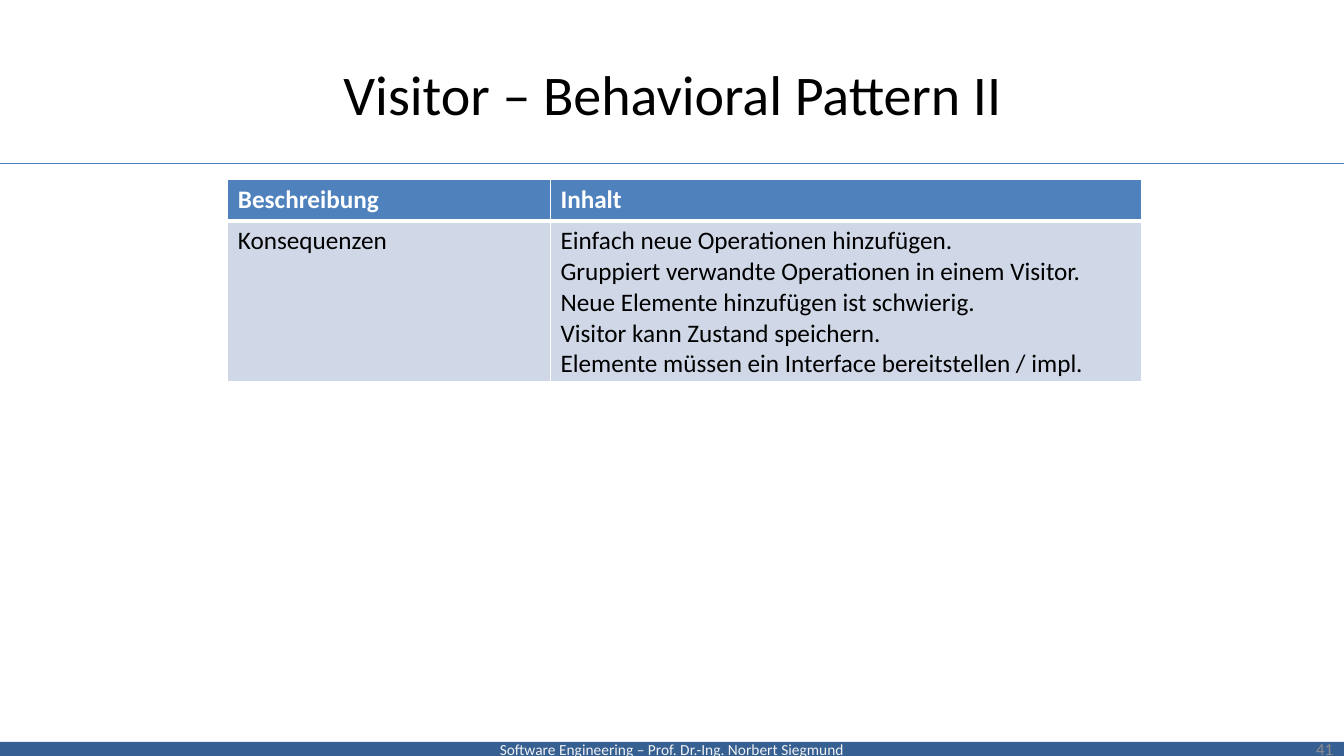
from lxml import etree
from pptx import Presentation
from pptx.dml.color import RGBColor
from pptx.enum.shapes import MSO_CONNECTOR, MSO_SHAPE
from pptx.enum.text import MSO_ANCHOR, PP_ALIGN
from pptx.oxml.ns import qn
from pptx.util import Pt

EMU_PER_PX = 9144
SLIDE_WIDTH, SLIDE_HEIGHT = 1333, 750
TITLE_ONLY = 5
STRAIGHT = MSO_CONNECTOR.STRAIGHT
RECTANGLE = MSO_SHAPE.RECTANGLE
MIDDLE = MSO_ANCHOR.MIDDLE
LEFT, CENTER, RIGHT = PP_ALIGN.LEFT, PP_ALIGN.CENTER, PP_ALIGN.RIGHT

HEADINGS = ["Beschreibung", "Inhalt"]
CONSEQUENCES = [
    "Einfach neue Operationen hinzufügen.",
    "Gruppiert verwandte Operationen in einem Visitor.",
    "Neue Elemente hinzufügen ist schwierig.",
    "Visitor kann Zustand speichern.",
    "Elemente müssen ein Interface bereitstellen / impl.",
]


def px(*lengths):
    return [length * EMU_PER_PX for length in lengths]


def color(hex_string):
    return RGBColor.from_string(hex_string)


def write(frame, lines, size, hex_color, align=LEFT, bold=False):
    frame.word_wrap = True
    for index, line in enumerate(lines):
        paragraph = frame.add_paragraph() if index else frame.paragraphs[0]
        paragraph.text = line
        paragraph.alignment = align
        paragraph.font.name = "Calibri"
        paragraph.font.size = Pt(size)
        paragraph.font.bold = bold
        paragraph.font.color.rgb = color(hex_color)


def add_footer(slide, left, top, width, height):
    bar = slide.shapes.add_shape(RECTANGLE, *px(left, top, width, height))
    bar.shadow.inherit = False
    bar.fill.solid()
    bar.fill.fore_color.rgb = color("376092")
    bar.line.fill.background()
    frame = bar.text_frame
    frame.margin_top = frame.margin_bottom = 0
    frame.vertical_anchor = MIDDLE
    write(frame, ["Software Engineering – Prof. Dr.-Ing. Norbert Siegmund"], 11, "F2F2F2", CENTER)

    page_number = slide.shapes.add_textbox(*px(left + width - 312, top - 13, 311, 40))
    page_number.text_frame.vertical_anchor = MIDDLE
    write(page_number.text_frame, ["41"], 12, "8C8C8C", RIGHT)


def add_heading(slide, left, top, width, height):
    title = slide.shapes.title
    title.left, title.top, title.width, title.height = px(left, top, width, height)
    title.text_frame.vertical_anchor = MIDDLE
    write(title.text_frame, ["Visitor – Behavioral Pattern II"], 40, "000000", CENTER)

    rule_y = top + height + 7
    rule = slide.shapes.add_connector(STRAIGHT, *px(0, rule_y, SLIDE_WIDTH + 6, rule_y))
    rule.line.color.rgb = color("4B7EBC")
    rule.line.width = Pt(0.75)
    etree.SubElement(rule._element.spPr, qn("a:effectLst"))


def set_borders(cell, widths):
    properties = cell._tc.get_or_add_tcPr()
    for index, (side, width) in enumerate(widths.items()):
        border = etree.Element(qn(f"a:ln{side}"), w=str(Pt(width)))
        fill = etree.SubElement(border, qn("a:solidFill"))
        etree.SubElement(fill, qn("a:srgbClr"), val="FFFFFF")
        properties.insert(index, border)


def fill_row(row, texts, fill, text_color, bold, top_border, bottom_border):
    for cell, lines in zip(row.cells, texts):
        cell.fill.solid()
        cell.fill.fore_color.rgb = color(fill)
        write(cell.text_frame, lines, 18, text_color, bold=bold)
        set_borders(cell, {"L": 1, "R": 1, "T": top_border, "B": bottom_border})


def add_pattern_table(slide, left, top, width, height):
    header_height, label_width = 41, 320
    frame = slide.shapes.add_table(2, 2, *px(left, top, width, height))
    table = frame.table
    table.horz_banding = False
    for column, length in zip(table.columns, px(label_width, width - label_width)):
        column.width = length
    for row, length in zip(table.rows, px(header_height, height - header_height)):
        row.height = length
    header, body = table.rows
    fill_row(header, [[heading] for heading in HEADINGS], "4F81BD", "FFFFFF", True, 1, 3)
    fill_row(body, [["Konsequenzen"], CONSEQUENCES], "D0D8E8", "000000", False, 3, 1)


def main():
    presentation = Presentation()
    presentation.slide_width, presentation.slide_height = px(SLIDE_WIDTH, SLIDE_HEIGHT)
    slide = presentation.slides.add_slide(presentation.slide_layouts[TITLE_ONLY])
    add_footer(slide, 0, 736, SLIDE_WIDTH, 14)
    add_heading(slide, 67, 30, 1200, 125)
    add_pattern_table(slide, 226, 178, 906, 201)
    presentation.save("out.pptx")


if __name__ == "__main__":
    main()
